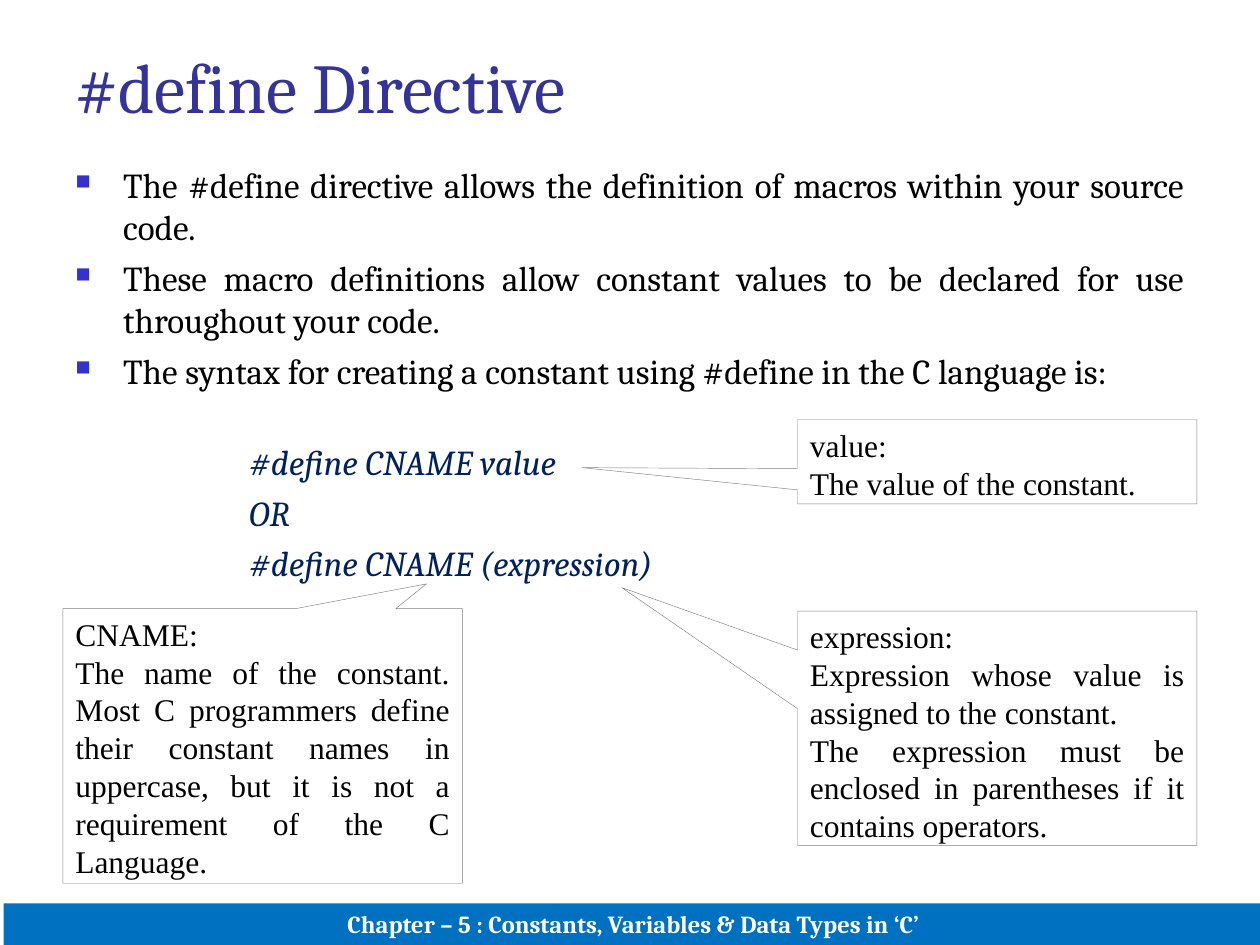
from lxml.etree import SubElement
from pptx import Presentation
from pptx.dml.color import RGBColor
from pptx.enum.shapes import MSO_SHAPE
from pptx.enum.text import MSO_ANCHOR, PP_ALIGN
from pptx.oxml.ns import qn
from pptx.util import Inches, Pt

COLORS = {
    "title": "333399",
    "bullet": "3333CC",
    "body": "000000",
    "code": "002060",
    "bar": "0070C0",
    "white": "FFFFFF",
    "outline": "7F7F7F",
}
HEADING_FONT = "Cambria"
CALLOUT_FONT = "Times New Roman"

BULLETS = [
    "The #define directive allows the definition of macros within your source code.",
    "These macro definitions allow constant values to be declared for use throughout your code.",
    "The syntax for creating a constant using #define in the C language is:",
]
CODE_LINES = ["#define CNAME value", "OR", "#define CNAME (expression)"]

# Left, top, height, pointer offset, paragraphs
CALLOUTS = [
    (0.5, 4.83, 2.18, (0.41, -0.59), [
        "CNAME:",
        "The name of the constant. Most C programmers define their constant names "
        "in uppercase, but it is not a requirement of the C Language.",
    ]),
    (6.33, 3.33, 0.67, (-1.04, 0.07), ["value:", "The value of the constant."]),
    (6.33, 4.85, 1.86, (-0.94, -0.6), [
        "expression:",
        "Expression whose value is assigned to the constant.",
        "The expression must be enclosed in parentheses if it contains operators.",
    ]),
]
CALLOUT_WIDTH = 3.17


def rgb(name):
    return RGBColor.from_string(COLORS[name])


def style(p, size, color, font=HEADING_FONT, align=PP_ALIGN.LEFT, bold=False, italic=False):
    p.alignment = align
    for r in p.runs:
        r.font.size = Pt(size)
        r.font.name = font
        r.font.bold = bold
        r.font.italic = italic
        r.font.color.rgb = rgb(color)


def indent(p, left, first=0):
    pPr = p._p.get_or_add_pPr()
    pPr.set("marL", str(Inches(left)))
    pPr.set("indent", str(Inches(first)))
    return pPr


def add_bullet(p):
    pPr = indent(p, 0.38, -0.38)
    color = SubElement(pPr, qn("a:buClr"))
    SubElement(color, qn("a:srgbClr"), val=COLORS["bullet"])
    SubElement(pPr, qn("a:buSzPct"), val="60000")
    SubElement(pPr, qn("a:buChar"), char="■")


def add_shape(s, kind, box, fill):
    sp = s.shapes.add_shape(kind, *map(Inches, box))
    sp.shadow.inherit = False
    sp.fill.solid()
    sp.fill.fore_color.rgb = rgb(fill)
    return sp


def add_text(s, box, lines):
    tf = s.shapes.add_textbox(*map(Inches, box)).text_frame
    tf.word_wrap = True
    tf.text = "\n".join(lines)
    return tf


def add_footer(s, text):
    sp = add_shape(s, MSO_SHAPE.RECTANGLE, (0.03, 7.17, 10, 0.33), "bar")
    sp.line.fill.background()
    tf = sp.text_frame
    tf.text = text
    tf.vertical_anchor = MSO_ANCHOR.BOTTOM
    style(tf.paragraphs[0], 14, "white", align=PP_ALIGN.CENTER, bold=True)


def add_body(s):
    tf = add_text(s, (0.5, 1.25, 9, 5.45), BULLETS + CODE_LINES)
    for i, p in enumerate(tf.paragraphs):
        is_code = i >= len(BULLETS)
        if i:
            # The code block stands apart from the bullets
            p.space_before = Pt(28 if i == len(BULLETS) else 5)
        if is_code:
            indent(p, 1.38)
        else:
            add_bullet(p)
        style(p, 20, "code" if is_code else "body", align=PP_ALIGN.JUSTIFY, italic=is_code)


def add_callout(s, left, top, height, pointer, lines):
    box = (left, top, CALLOUT_WIDTH, height)
    sp = add_shape(s, MSO_SHAPE.RECTANGULAR_CALLOUT, box, "white")
    sp.adjustments[0], sp.adjustments[1] = pointer
    sp.line.color.rgb = rgb("outline")
    sp.line.width = Pt(0.25)
    tf = sp.text_frame
    tf.text = "\n".join(lines)
    tf.vertical_anchor = MSO_ANCHOR.TOP
    for p in tf.paragraphs:
        style(p, 18, "body", CALLOUT_FONT, PP_ALIGN.JUSTIFY)


def main():
    prs = Presentation()
    prs.slide_width, prs.slide_height = Inches(10), Inches(7.5)
    s = prs.slides.add_slide(prs.slide_layouts[6])

    # Chapter bar
    add_footer(s, "Chapter – 5 : Constants, Variables & Data Types in ‘C’")

    # Title and body
    title = add_text(s, (0.5, 0.3, 9, 1.25), ["#define Directive"])
    style(title.paragraphs[0], 40, "title")
    add_body(s)

    # Explanations of the syntax parts
    for callout in CALLOUTS:
        add_callout(s, *callout)

    prs.save("out.pptx")


if __name__ == "__main__":
    main()
